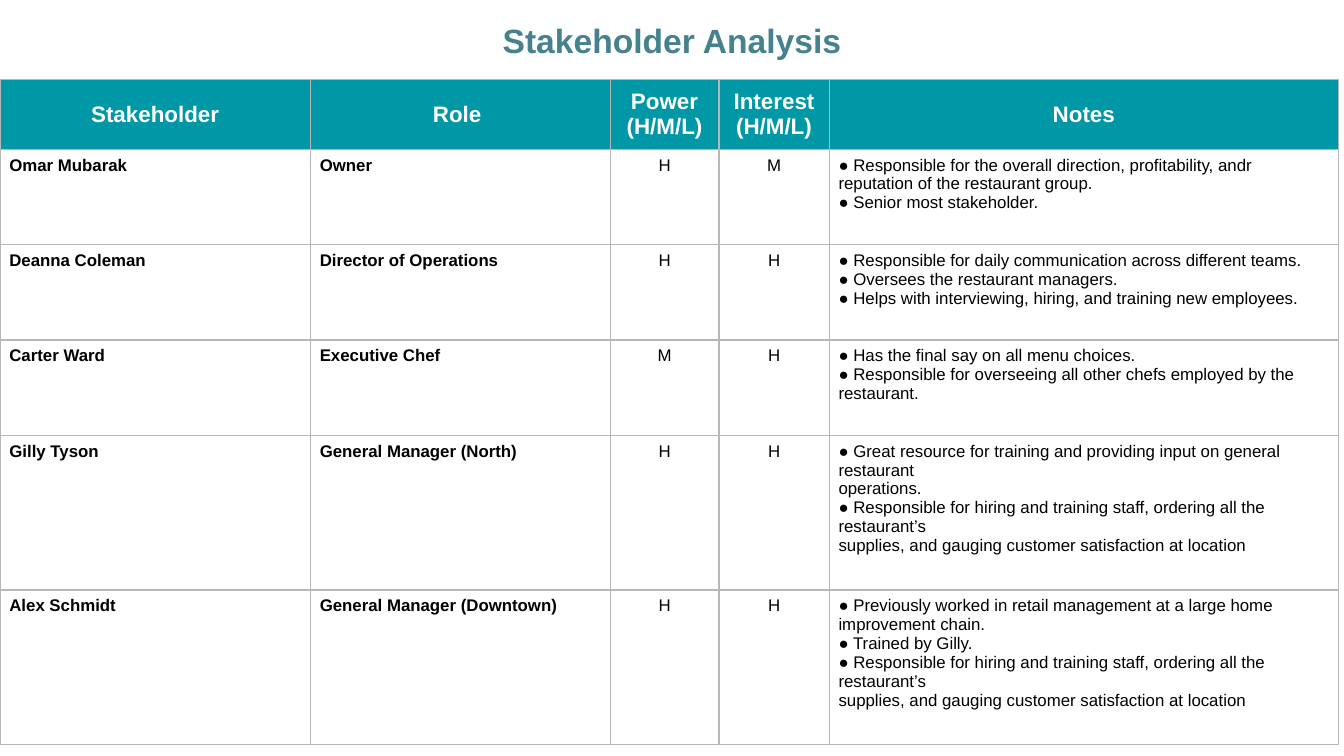
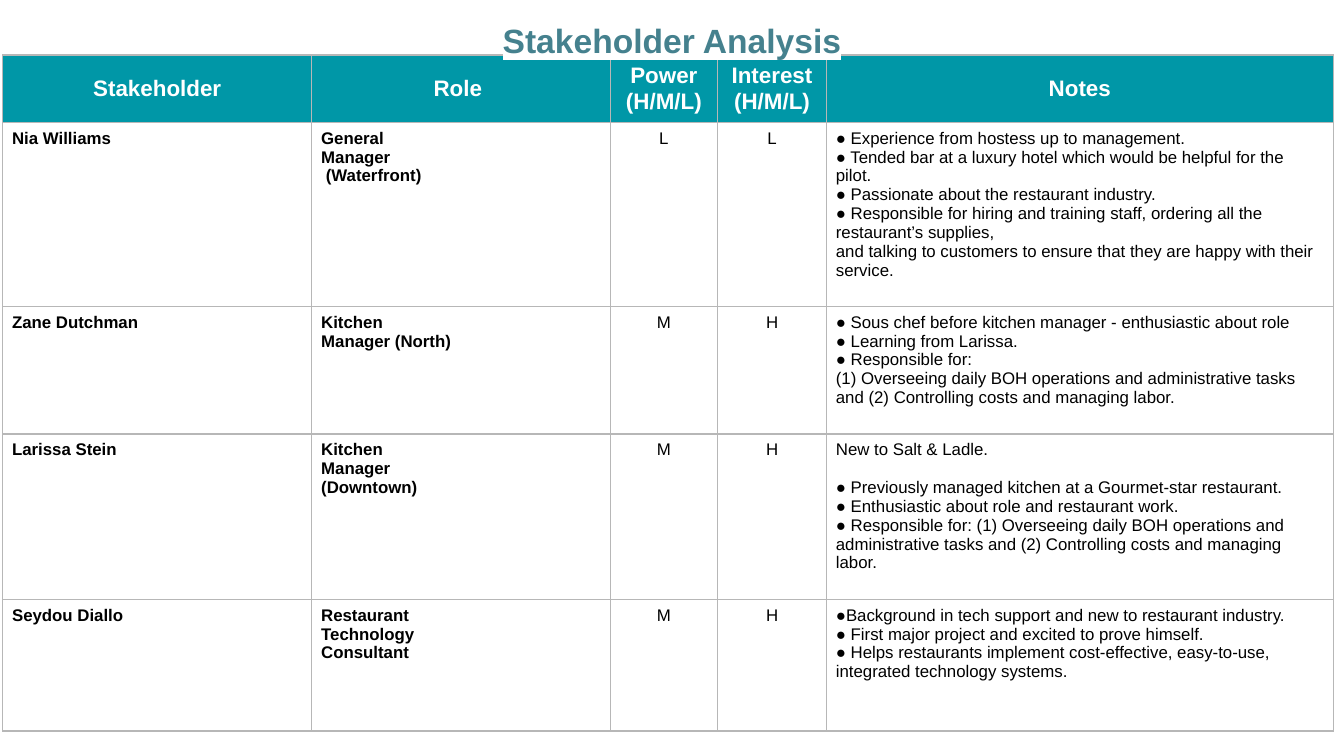
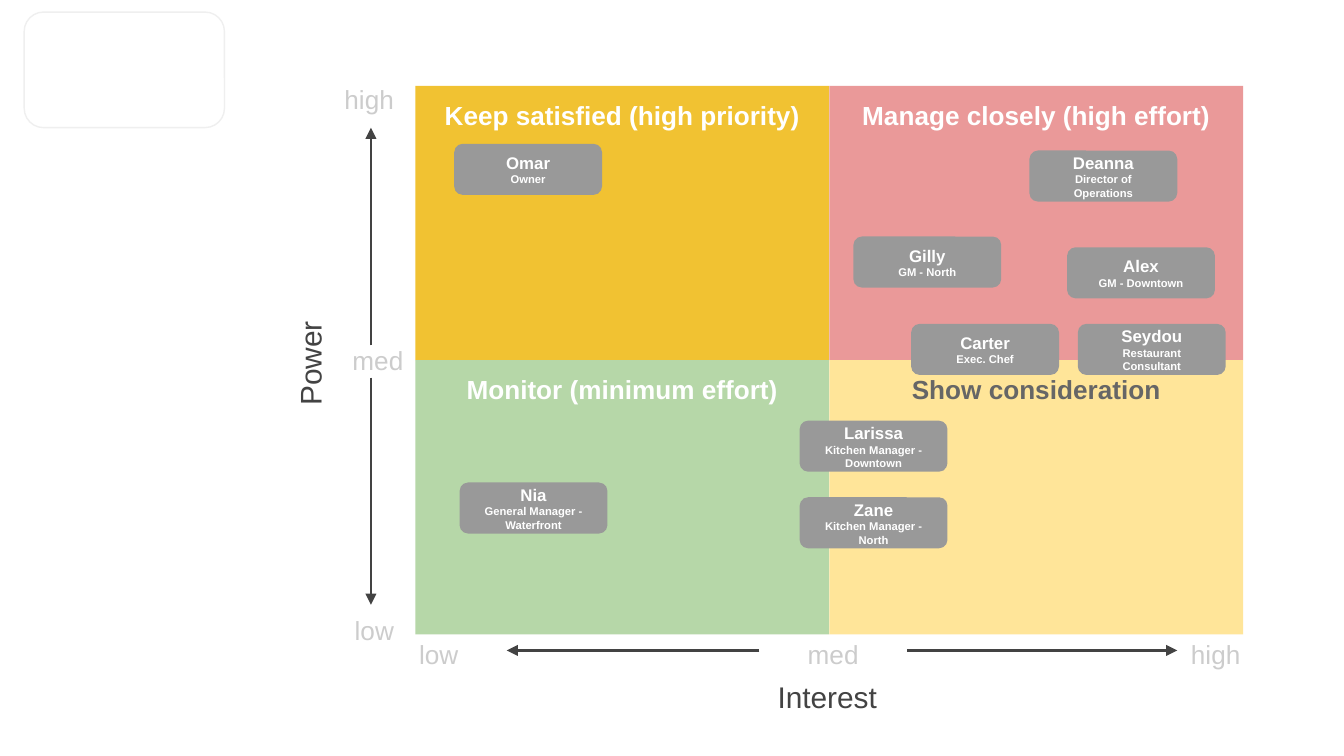
from lxml.etree import SubElement
from pptx import Presentation
from pptx.dml.color import RGBColor
from pptx.enum.shapes import MSO_CONNECTOR, MSO_SHAPE
from pptx.enum.text import MSO_ANCHOR, MSO_AUTO_SIZE, PP_ALIGN
from pptx.oxml.ns import qn
from pptx.util import Pt

PX = 9144  # 100 px to the inch
LEFT, MID, RIGHT = PP_ALIGN.LEFT, PP_ALIGN.CENTER, PP_ALIGN.RIGHT


class Theme:
    font = "Arial"
    teal, rule = "0097A7", "B7B7B7"
    gold, rose, green, cream = "F1C232", "EA9999", "B6D7A8", "FFE599"
    chip, frame, ink, white = "999999", "EFEFEF", "434343", "FFFFFF"
    # size, colour, bold
    text = {
        "title": (18, "45818E", True),
        "head": (12, white, True),
        "label": (9, "000000", True),
        "body": (9, "000000", False),
        "zone": (14, white, True),
        "dark zone": (14, "666666", True),
        "name": (9, white, True),
        "job": (6, white, True),
        "axis": (16, ink, False),
        "tick": (14, "CCCCCC", False),
    }


def write(frame, lines, align):
    """Fill a text frame with (text, style) lines, one paragraph each."""
    for i, (text, style) in enumerate(lines):
        para = frame.add_paragraph() if i else frame.paragraphs[0]
        para.alignment = align
        run = para.add_run()
        run.text = text
        size, tint, bold = Theme.text[style]
        form = {"name": Theme.font, "size": Pt(size), "bold": bold}
        for key, value in form.items():
            setattr(run.font, key, value)
        run.font.color.rgb = RGBColor.from_string(tint)


def place(slide, kind, at, lines=(), align=MID, fill=None, anchor=MSO_ANCHOR.TOP):
    """Add a preset shape, or a text box if kind is None."""
    at = [n * PX for n in at]
    if kind is None:
        shape = slide.shapes.add_textbox(*at)
    else:
        shape = slide.shapes.add_shape(kind, *at)
        shape.shadow.inherit = False
        shape.line.fill.background()
        if fill:
            shape.fill.solid()
            shape.fill.fore_color.rgb = RGBColor.from_string(fill)
        else:
            shape.fill.background()
    form = {"word_wrap": True, "vertical_anchor": anchor, **PAD}
    for key, value in form.items():
        setattr(shape.text_frame, key, value)
    write(shape.text_frame, lines, align)
    return shape


PAD = {"margin_" + side: 10 * PX for side in ("left", "top", "right", "bottom")}
CELL = {"margin_left": 7 * PX, "margin_right": 7 * PX,
        "margin_top": 5 * PX, "margin_bottom": 5 * PX}

# Table content
HEADS = ["Stakeholder", "Role ", "Power (H/M/L)", "Interest (H/M/L)", "Notes"]
STAFF = "● Responsible for hiring and training staff, ordering all the restaurant’s"
SITE = "supplies, and gauging customer satisfaction at location"
COSTS = ("(1) Overseeing daily BOH operations and administrative tasks "
         "and (2) Controlling costs and managing labor.")

FIRST = [
    ("Omar Mubarak", "Owner", "H", "M",
     "● Responsible for the overall direction, profitability, andr "
     "reputation of the restaurant group.\n● Senior most stakeholder."),
    ("Deanna Coleman", "Director of Operations", "H", "H",
     "● Responsible for daily communication across different teams.\n"
     "● Oversees the restaurant managers.\n"
     "● Helps with interviewing, hiring, and training new employees."),
    ("Carter Ward", "Executive Chef", "M", "H",
     "● Has the final say on all menu choices.\n"
     "● Responsible for overseeing all other chefs employed by the\nrestaurant."),
    ("Gilly Tyson", "General Manager (North)", "H", "H",
     "● Great resource for training and providing input on general restaurant\n"
     f"operations.\n{STAFF}\n{SITE}"),
    ("Alex Schmidt", "General Manager (Downtown)", "H", "H",
     "● Previously worked in retail management at a large home improvement chain.\n"
     f"● Trained by Gilly.\n{STAFF}\n{SITE}"),
]
SECOND = [
    ("Nia Williams", "General\nManager\n (Waterfront)", "L", "L",
     "● Experience from hostess up to management.\n"
     "● Tended bar at a luxury hotel which would be helpful for the pilot.\n"
     f"● Passionate about the restaurant industry.\n{STAFF} supplies,\n"
     "and talking to customers to ensure that they are happy with their service."),
    ("Zane Dutchman", "Kitchen\nManager (North)", "M", "H",
     "● Sous chef before kitchen manager - enthusiastic about role\n"
     f"● Learning from Larissa.\n● Responsible for:\n{COSTS}"),
    ("Larissa Stein", "Kitchen\nManager\n(Downtown)", "M", "H",
     "New to Salt & Ladle.\n"
     "● Previously managed kitchen at a Gourmet-star restaurant.\n"
     "● Enthusiastic about role and restaurant work.\n"
     f"● Responsible for: {COSTS}"),
    ("Seydou Diallo", "Restaurant\nTechnology\nConsultant", "M", "H",
     "●Background in tech support and new to restaurant industry.\n"
     "● First major project and excited to prove himself.\n"
     "● Helps restaurants implement cost-effective, easy-to-use, "
     "integrated technology systems."),
]
TABLES = [
    ((0, 59), (231, 223, 81, 82, 379), (52, 71, 71, 71, 115, 115), FIRST),
    ((2, 41), (230, 222, 80, 81, 377), (50, 137, 95, 123, 98), SECOND),
]

# Widescreen deck, 16 to 9
deck = Presentation()
deck.slide_width = 1000 * PX
deck.slide_height = deck.slide_width * 9 // 16

# Table slides
for (x, y), cols, rows, people in TABLES:
    slide = deck.slides.add_slide(deck.slide_layouts[5])
    grid = slide.shapes.add_table(len(rows), len(cols), x * PX, y * PX,
                                  sum(cols) * PX, sum(rows) * PX).table
    for col, width in zip(grid.columns, cols):
        col.width = width * PX
    for row, height in zip(grid.rows, rows):
        row.height = height * PX

    for r, record in enumerate([HEADS, *people]):
        for c, text in enumerate(record):
            cell = grid.cell(r, c)
            form = {"vertical_anchor": MSO_ANCHOR.TOP if r else MSO_ANCHOR.MIDDLE, **CELL}
            for key, value in form.items():
                setattr(cell, key, value)
            style = "head" if r == 0 else "label" if c < 2 else "body"
            align = MID if r == 0 or c in (2, 3) else LEFT
            write(cell.text_frame, [(t, style) for t in text.split("\n")], align)
            # Borders come before the fill
            props = cell._tc.get_or_add_tcPr()
            for side in ("a:lnL", "a:lnR", "a:lnT", "a:lnB"):
                edge = SubElement(props, qn(side), w=str(Pt(0.75)))
                paint = SubElement(edge, qn("a:solidFill"))
                SubElement(paint, qn("a:srgbClr"), val=Theme.rule)
            if r == 0:
                cell.fill.solid()
                cell.fill.fore_color.rgb = RGBColor.from_string(Theme.teal)
            else:
                cell.fill.background()
            if text.startswith("New to"):
                cell.text_frame.paragraphs[0].space_after = Pt(10)

    # Title, in front of the table, on a white highlight
    title = slide.shapes.title
    title.left, title.top, title.width, title.height = [
        n * PX for n in (83, 0, 834, 50)]
    form = {"word_wrap": True, "auto_size": MSO_AUTO_SIZE.NONE,
            "vertical_anchor": MSO_ANCHOR.TOP, **PAD}
    for key, value in form.items():
        setattr(title.text_frame, key, value)
    write(title.text_frame, [("Stakeholder Analysis", "title")], MID)
    para = title.text_frame.paragraphs[0]
    para.line_spacing = 1.15
    look = para.runs[0].font._element
    mark = SubElement(look, qn("a:highlight"))
    SubElement(mark, qn("a:srgbClr"), val=Theme.white)
    look.find(qn("a:solidFill")).addnext(mark)
    title.element.getparent().append(title.element)

# Power and interest grid
slide = deck.slides.add_slide(deck.slide_layouts[6])
ZONES = [
    ("Keep satisfied (high priority)", Theme.gold, "zone"),
    ("Manage closely (high effort)", Theme.rose, "zone"),
    ("Monitor (minimum effort)", Theme.green, "zone"),
    ("Show consideration", Theme.cream, "dark zone"),
]
for i, (text, fill, style) in enumerate(ZONES):
    at = (309 + i % 2 * 308, 64 + i // 2 * 204, 308, 204)
    place(slide, MSO_SHAPE.RECTANGLE, at, [(text, style)], fill=fill)

# Axis names and ticks
power = place(slide, None, (139, 253, 183, 35), [("Power", "axis")],
              anchor=MSO_ANCHOR.MIDDLE)
power.rotation = 270
TICKS = [
    ("high", "tick", (170, 52, 133, 26), RIGHT),
    ("low", "tick", (170, 447, 133, 26), RIGHT),
    ("med", "tick", (565, 465, 110, 38), MID),
    ("high", "tick", (854, 465, 101, 38), MID),
    ("low", "tick", (276, 465, 101, 38), MID),
    ("Interest", "axis", (541, 495, 149, 47), MID),
    ("med", "tick", (242, 246, 68, 44), RIGHT),
]
for text, style, at, align in TICKS:
    place(slide, None, at, [(text, style)], align)

# Axis arrows
ARROWS = [(276, 257, 276, 95), (276, 281, 276, 450),
          (675, 484, 876, 484), (565, 484, 377, 484)]
for ends in ARROWS:
    arrow = slide.shapes.add_connector(MSO_CONNECTOR.STRAIGHT, *[n * PX for n in ends])
    arrow.line.width = Pt(1.5)
    arrow.line.color.rgb = RGBColor.from_string(Theme.ink)
    SubElement(arrow.line._get_or_add_ln(), qn("a:tailEnd"), type="triangle")
    SubElement(arrow._element.spPr, qn("a:effectLst"))

# Empty outlined card
card = place(slide, MSO_SHAPE.ROUNDED_RECTANGLE, (18, 9, 149, 86))
card.line.color.rgb = RGBColor.from_string(Theme.frame)
card.line.width = Pt(0.75)

# People
CHIPS = [
    ("Omar", "Owner", 338, 107),
    ("Deanna", "Director of Operations", 766, 112),
    ("Carter", "Exec. Chef", 678, 241),
    ("Gilly", "GM - North", 635, 176),
    ("Alex", "GM - Downtown", 794, 184),
    ("Zane", "Kitchen Manager - North", 595, 370),
    ("Larissa", "Kitchen Manager - Downtown", 595, 313),
    ("Seydou", "Restaurant Consultant", 802, 241),
    ("Nia", "General Manager - Waterfront", 342, 359),
]
for name, job, x, y in CHIPS:
    place(slide, MSO_SHAPE.ROUNDED_RECTANGLE, (x, y, 110, 38),
          [(name, "name"), (job, "job")], fill=Theme.chip, anchor=MSO_ANCHOR.MIDDLE)

deck.save("out.pptx")
